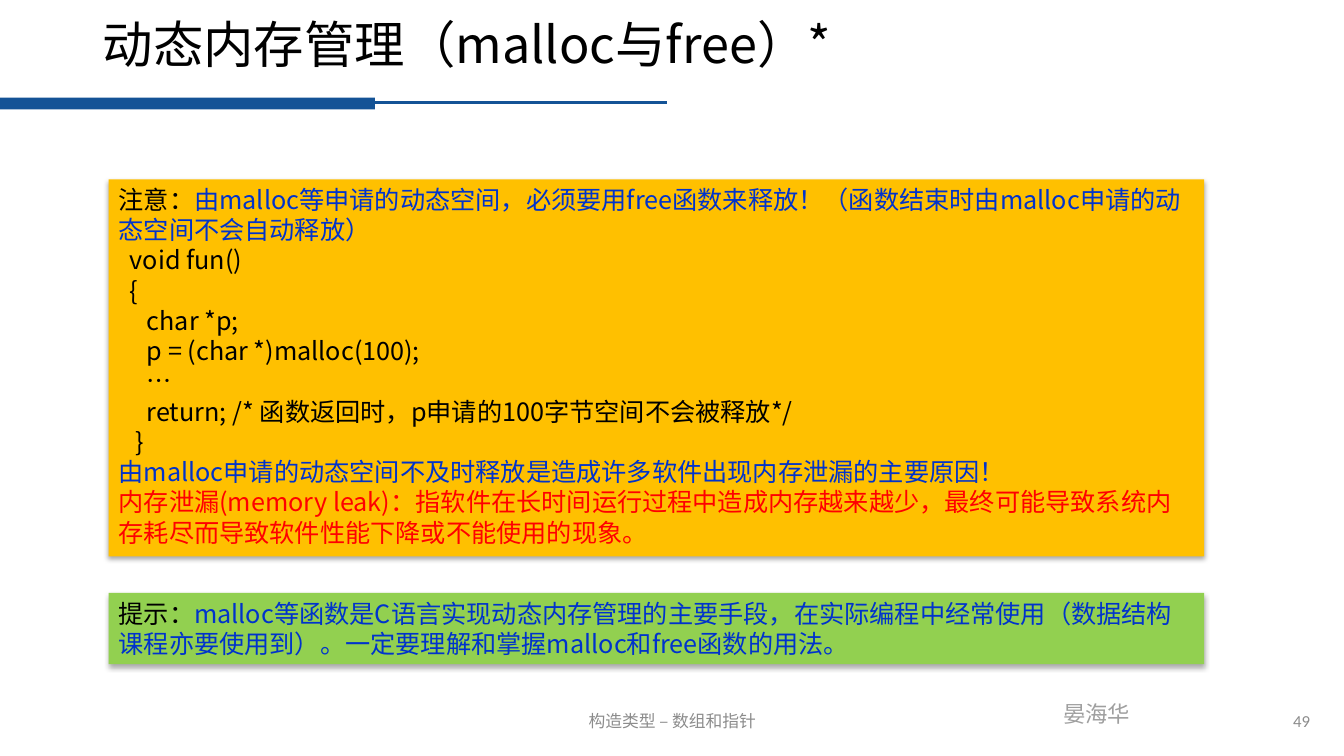
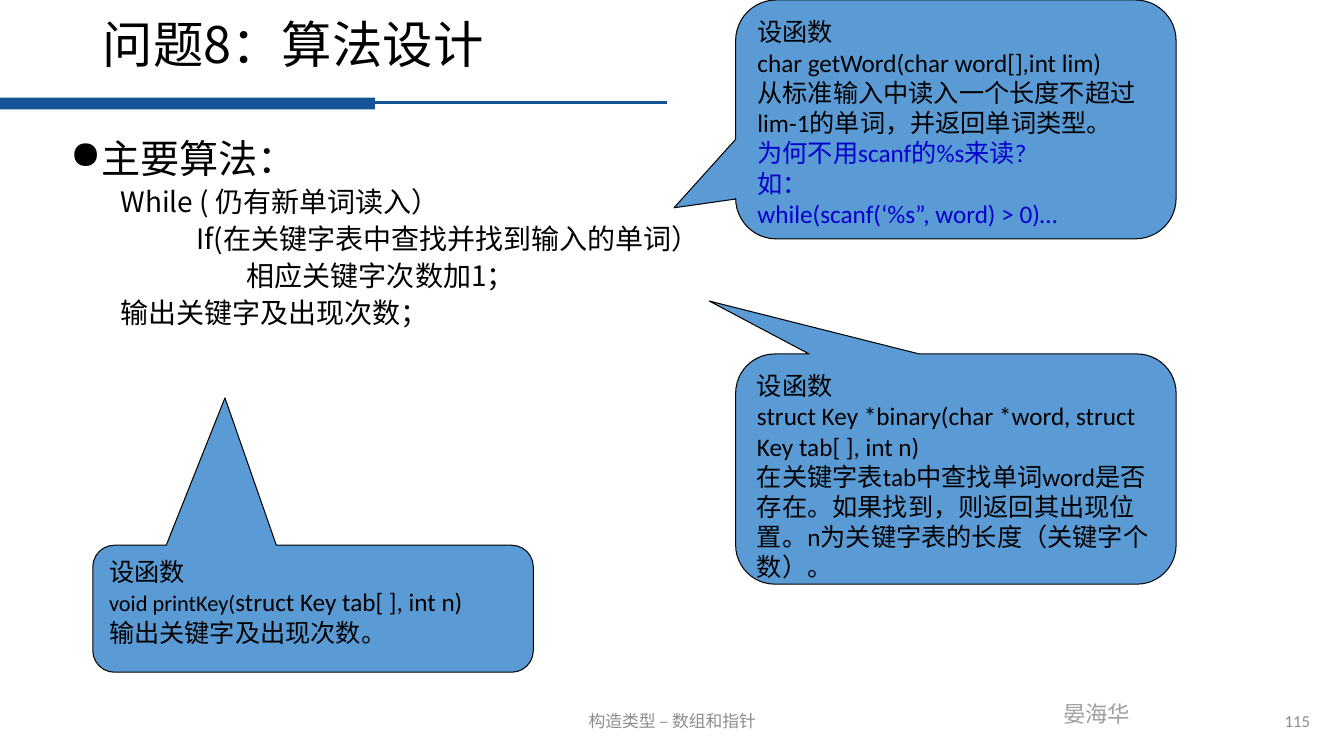
from dataclasses import dataclass

from lxml import etree
from pptx import Presentation
from pptx.dml.color import RGBColor
from pptx.enum.shapes import MSO_CONNECTOR, MSO_SHAPE
from pptx.enum.text import MSO_ANCHOR, PP_ALIGN
from pptx.oxml.ns import qn
from pptx.util import Cm, Pt

RECTANGLE = MSO_SHAPE.RECTANGLE
CALLOUT = MSO_SHAPE.ROUNDED_RECTANGULAR_CALLOUT
STRAIGHT = MSO_CONNECTOR.STRAIGHT
TOP, MIDDLE = MSO_ANCHOR.TOP, MSO_ANCHOR.MIDDLE
LEFT, CENTER, RIGHT = PP_ALIGN.LEFT, PP_ALIGN.CENTER, PP_ALIGN.RIGHT
BLANK_LAYOUT = 6


@dataclass(frozen=True)
class Theme:
    cjk: str = "Noto Sans CJK SC"
    latin: str = "Calibri"
    ink: str = "000000"
    band: str = "145396"
    footer: str = "8C8C8C"
    author: str = "9F9F9F"
    warning: str = "FFC000"
    hint: str = "92D050"
    callout: str = "5B9BD5"
    emphasis: str = "0033CC"
    alert: str = "FF0000"
    question: str = "0000CC"
    title_size: float = 36
    heading_size: float = 28
    algorithm_size: float = 20
    text_size: float = 18
    small_size: float = 16
    footer_size: float = 12


THEME = Theme()


@dataclass(frozen=True)
class Span:
    """A piece of text with its own colour or size."""
    text: str
    color: str = THEME.ink
    size: float = THEME.text_size


@dataclass(frozen=True)
class Line:
    """One paragraph: its spans and layout; indents are in cm."""
    spans: tuple
    align: PP_ALIGN = LEFT
    margin: float = 0
    bullet: str = ""
    spacing: float = 1.0
    before: float = 0


def line(text, color=THEME.ink, size=THEME.text_size, **layout):
    return Line((Span(text, color, size),), **layout)


class Deck:
    def __init__(self, theme):
        self.theme = theme
        self.presentation = Presentation()
        self.presentation.slide_width = Cm(33.87)
        self.presentation.slide_height = Cm(19.05)
        self.slide = None

    def start_slide(self, title, number):
        """Add a slide with the title, bands and footer that all slides share."""
        theme = self.theme
        layout = self.presentation.slide_layouts[BLANK_LAYOUT]
        self.slide = self.presentation.slides.add_slide(layout)
        self.text((26.54, 17.53, 2.24, 0.94),
                  [line("晏海华", theme.author, theme.small_size)],
                  font=theme.latin, wrap=False)
        self.shape(RECTANGLE, (0, 2.46, 9.45, 0.3), theme.band)
        self.rule(9.35, 16.81, 2.59)
        self.text((2.34, 0.43, 29.21, 1.52),
                  [line(title, size=theme.title_size, spacing=0.9)],
                  anchor=MIDDLE)
        footers = (((11.23, 11.43), "构造类型 – 数组和指针", CENTER),
                   ((25.65, 7.62), number, RIGHT))
        for (left, width), text, align in footers:
            self.text((left, 17.65, width, 1.02),
                      [line(text, theme.footer, theme.footer_size, align=align)],
                      font=theme.latin, anchor=MIDDLE)

    def rule(self, start, end, y):
        """Draw the thin line that continues the title band."""
        connector = self.slide.shapes.add_connector(
            STRAIGHT, Cm(start), Cm(y), Cm(end), Cm(y))
        connector.line.color.rgb = RGBColor.from_string(self.theme.band)
        connector.line.width = Pt(2.25)
        properties = connector._element.find(qn("p:spPr"))
        etree.SubElement(properties, qn("a:effectLst"))

    def shape(self, kind, box, fill, outline=None):
        shape = self.slide.shapes.add_shape(kind, *map(Cm, box))
        shape.shadow.inherit = False
        shape.fill.solid()
        shape.fill.fore_color.rgb = RGBColor.from_string(fill)
        if outline:
            shape.line.color.rgb = RGBColor.from_string(outline)
            shape.line.width = Pt(0.75)
        else:
            shape.line.fill.background()
        return shape

    def text(self, box, lines, font=None, anchor=TOP, wrap=True):
        textbox = self.slide.shapes.add_textbox(*map(Cm, box))
        self.fill_text(textbox.text_frame, lines, font, anchor, wrap)

    def panel(self, top, height, fill, lines):
        """Add a full-width coloured panel with a soft shadow."""
        panel = self.shape(RECTANGLE, (2.74, top, 27.61, height), fill)
        effects = panel._element.spPr.find(qn("a:effectLst"))
        shadow = etree.SubElement(
            effects, qn("a:outerShdw"), blurRad=str(Pt(3.5)),
            dist=str(Pt(2.2)), dir="5400000", rotWithShape="0")
        color = etree.SubElement(shadow, qn("a:srgbClr"), val=self.theme.ink)
        etree.SubElement(color, qn("a:alpha"), val="32000")
        self.fill_text(panel.text_frame, lines)

    def callout(self, left, top, height, tip, lines):
        """Add a speech bubble; tip is its point as a share of its size."""
        callout = self.shape(CALLOUT, (left, top, 11.1, height),
                             self.theme.callout, self.theme.ink)
        for index, value in enumerate((*tip, 0.17)):
            callout.adjustments[index] = value
        self.fill_text(callout.text_frame, lines, self.theme.latin)

    def fill_text(self, frame, lines, font=None, anchor=TOP, wrap=True):
        frame.word_wrap = wrap
        frame.vertical_anchor = anchor
        for index, content in enumerate(lines):
            paragraph = frame.add_paragraph() if index else frame.paragraphs[0]
            self.lay_out(paragraph, content)
            for span in content.spans:
                run = paragraph.add_run()
                run.text = span.text
                run.font.size = Pt(span.size)
                run.font.color.rgb = RGBColor.from_string(span.color)
                run.font.name = font or self.theme.cjk
                etree.SubElement(run._r.get_or_add_rPr(), qn("a:ea"),
                                 typeface=self.theme.cjk)

    def lay_out(self, paragraph, content):
        properties = paragraph._p.get_or_add_pPr()
        properties.set("marL", str(Cm(content.margin)))
        if content.bullet:
            properties.set("indent", str(-Cm(content.margin)))
            etree.SubElement(properties, qn("a:buChar"), char=content.bullet)
        paragraph.alignment = content.align
        paragraph.line_spacing = content.spacing
        paragraph.space_before = Pt(content.before)


def add_memory_slide(deck):
    theme = deck.theme
    deck.start_slide("动态内存管理（malloc与free）*", "49")
    code = ("  void fun()",
            "  {",
            "     char *p;",
            "     p = (char *)malloc(100);",
            "     …",
            "     return; /* 函数返回时，p申请的100字节空间不会被释放*/",
            "   }")
    deck.panel(4.52, 9.5, theme.warning, [
        Line((Span("注意："),
              Span("由malloc等申请的动态空间，必须要用free函数来释放！"
                   "（函数结束时由malloc申请的动态空间不会自动释放）",
                   theme.emphasis))),
        *map(line, code),
        line("由malloc申请的动态空间不及时释放是造成许多软件出现内存泄漏的主要原因！",
             theme.emphasis),
        line("内存泄漏(memory leak)：指软件在长时间运行过程中造成内存越来越少，"
             "最终可能导致系统内存耗尽而导致软件性能下降或不能使用的现象。",
             theme.alert),
    ])
    deck.panel(14.94, 1.8, theme.hint, [
        Line((Span("提示："),
              Span("malloc等函数是C语言实现动态内存管理的主要手段，"
                   "在实际编程中经常使用（数据结构课程亦要使用到）。"
                   "一定要理解和掌握malloc和free函数的用法。",
                   theme.emphasis))),
    ])


def add_algorithm_slide(deck):
    theme = deck.theme
    deck.start_slide("问题8：算法设计", "115")
    steps = ((1.27, "While ( 仍有新单词读入）"),
             (3.18, "If(在关键字表中查找并找到输入的单词）"),
             (4.45, "相应关键字次数加1；"),
             (1.27, "输出关键字及出现次数；"))
    deck.text((1.52, 3.25, 29.21, 12.09), [
        line("主要算法：", size=theme.heading_size, margin=0.64, bullet="●"),
        *(line(step, size=theme.algorithm_size, margin=margin,
               spacing=0.9, before=5) for margin, step in steps),
    ])

    heading = line("设函数")
    right_column = 18.54
    deck.callout(right_column, 0, 6.02, (-0.64, 0.37), [
        heading,
        line("char getWord(char word[],int lim)"),
        line("从标准输入中读入一个长度不超过lim-1的单词，并返回单词类型。"),
        *(line(text, theme.question) for text in (
            "为何不用scanf的%s来读?", "如：", "while(scanf(‘%s”, word) > 0)…")),
    ])
    deck.callout(right_column, 8.92, 5.8, (-0.56, -0.73), [
        heading,
        line("struct Key *binary(char *word, struct Key tab[ ], int n)"),
        line("在关键字表tab中查找单词word是否存在。如果找到，则返回其出现位置。"
             "n为关键字表的长度（关键字个数）。"),
    ])
    deck.callout(2.34, 13.74, 3.2, (-0.2, -1.66), [
        heading,
        Line((Span("void printKey(", size=theme.small_size),
              Span("struct Key tab[ ], int n)"))),
        line("输出关键字及出现次数。"),
    ])


def main():
    deck = Deck(THEME)
    add_memory_slide(deck)
    add_algorithm_slide(deck)
    deck.presentation.save("out.pptx")


if __name__ == "__main__":
    main()
